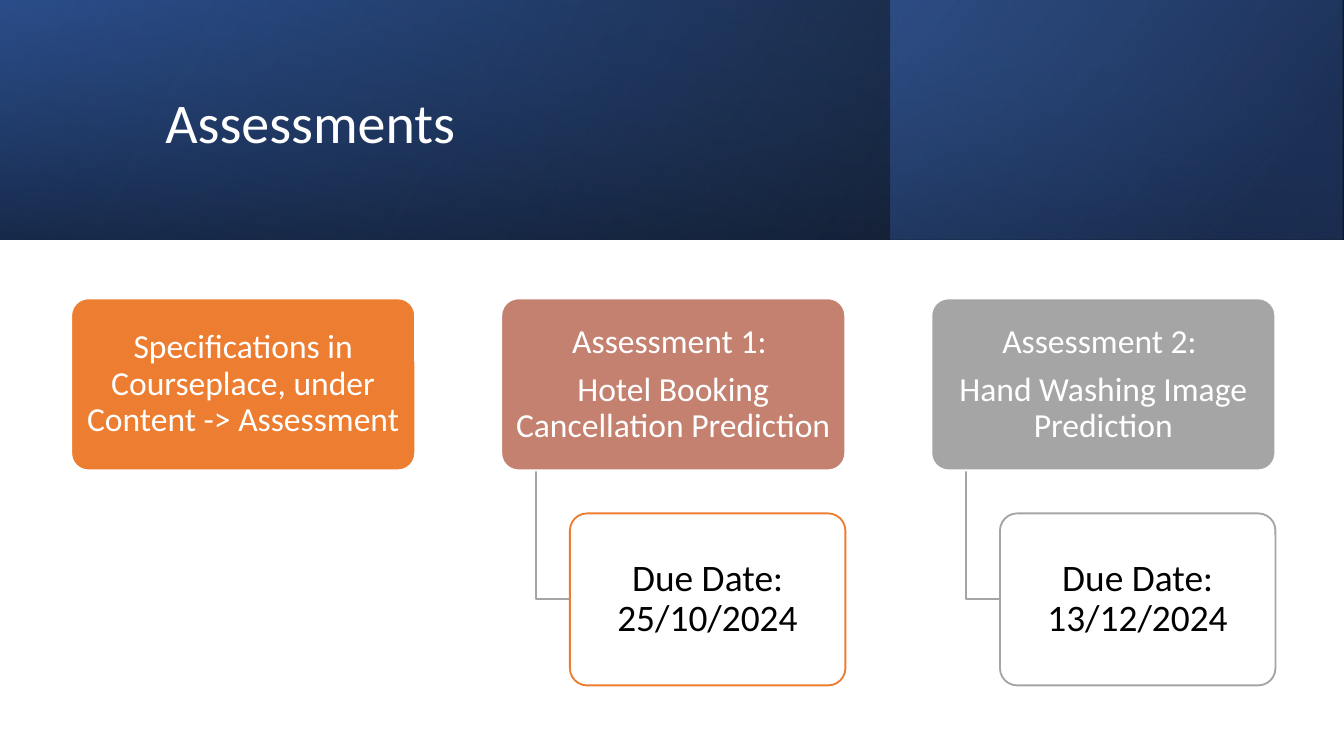
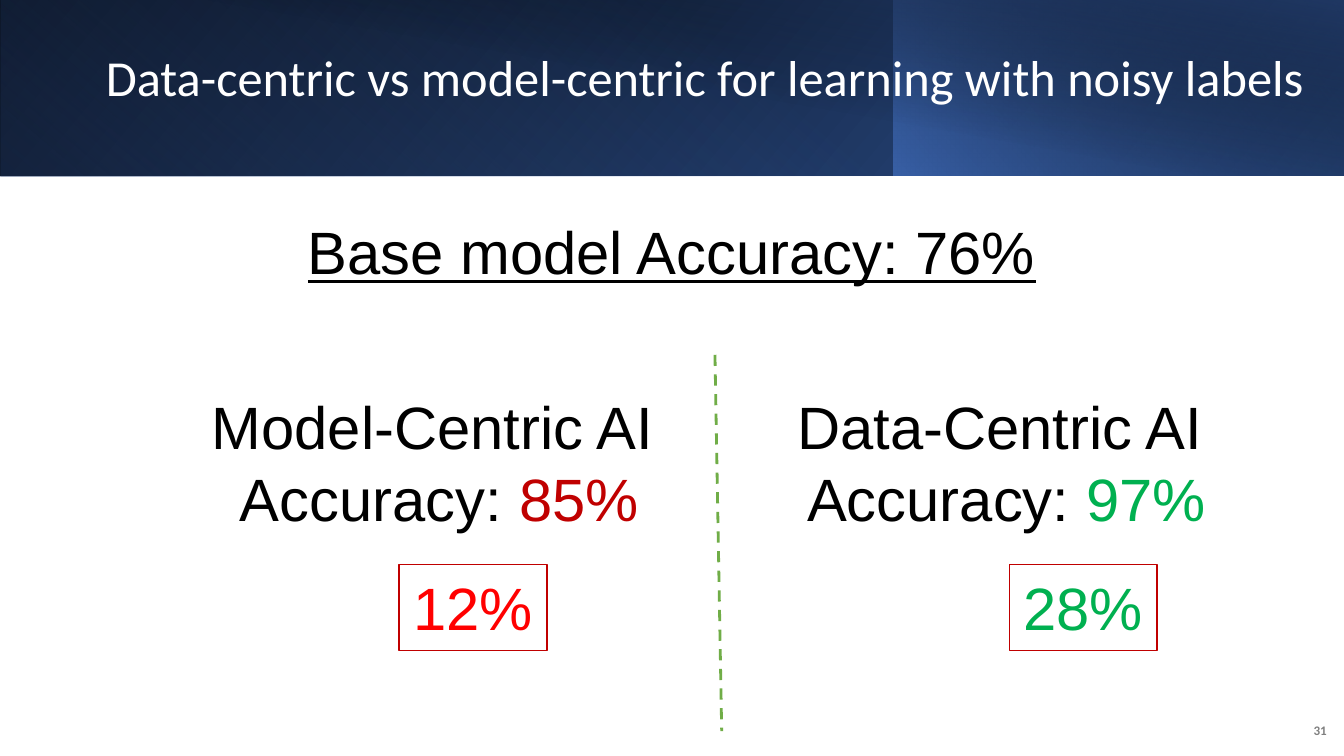
from lxml import etree
from pptx import Presentation
from pptx import util as u
from pptx.dml.color import RGBColor
from pptx.enum import dml, shapes, text
from pptx.oxml import parse_xml
from pptx.oxml.ns import nsdecls, qn

COLORS = {
    "white": "FFFFFF", "black": "000000", "navy": "203864", "blue": "2F5597",
    "sky": "4472C4", "orange": "ED7D31", "clay": "C48170", "gray": "A5A5A5",
    "page": "808080", "crimson": "C00000", "red": "FF0000",
    "green": "00B050", "leaf": "70AD47",
}
RGB = {name: RGBColor.from_string(value) for name, value in COLORS.items()}

TITLE_FRAME = {"vertical_anchor": text.MSO_ANCHOR.MIDDLE,
               "auto_size": text.MSO_AUTO_SIZE.NONE, "word_wrap": True}
CARD_FRAME = {"vertical_anchor": text.MSO_ANCHOR.MIDDLE, "word_wrap": True,
              "margin_left": u.Inches(0.04), "margin_right": u.Inches(0.04),
              "margin_top": u.Inches(0.03), "margin_bottom": u.Inches(0.03)}
RESULT_FRAME = {"vertical_anchor": text.MSO_ANCHOR.TOP, "word_wrap": False,
                "auto_size": text.MSO_AUTO_SIZE.SHAPE_TO_FIT_TEXT}
CENTER = {"alignment": text.PP_ALIGN.CENTER}
TITLE_LEFT = {"alignment": text.PP_ALIGN.LEFT, "line_spacing": 0.9}
TITLE_CENTER = {**CENTER, "line_spacing": 0.9}
CARD_LINES = {**CENTER, "line_spacing": 0.9, "space_after": u.Pt(6.3)}
PAGE_LINES = {"alignment": text.PP_ALIGN.RIGHT, "line_spacing": 0.9, "space_after": u.Pt(6)}
RESULT_FONT = {"name": "Arial", "size": u.Pt(32)}


def write(shape, lines, frame_format, line_format, font_format):
    frame = shape.text_frame
    for key, value in frame_format.items():
        setattr(frame, key, value)
    for index, line in enumerate(lines):
        paragraph = frame.add_paragraph() if index else frame.paragraphs[0]
        for key, value in line_format.items():
            setattr(paragraph, key, value)
        for words, color in line:
            run = paragraph.add_run()
            run.text = words
            for key, value in font_format.items():
                setattr(run.font, key, value)
            run.font.color.rgb = RGB[color]


def add_header(slide, bands, title, box, line_format, size):
    for place, rotation, flip, angle, stops in bands:
        band = slide.shapes.add_shape(shapes.MSO_SHAPE.RECTANGLE, *map(u.Inches, place))
        band.rotation = rotation
        properties = band.element.spPr
        if flip:
            properties.find(qn("a:xfrm")).set("flipH", "1")
        colors = "".join(
            f'<a:gs pos="{position * 1000}"><a:srgbClr val="{COLORS[color]}">'
            f'<a:alpha val="{alpha * 1000}"/></a:srgbClr></a:gs>'
            for position, color, alpha in stops)
        properties.insert(2, parse_xml(
            f'<a:gradFill {nsdecls("a")} rotWithShape="1"><a:gsLst>{colors}</a:gsLst>'
            f'<a:lin ang="{angle * 60000}" scaled="0"/></a:gradFill>'))
        band.line.fill.background()
        band.shadow.inherit = False
    heading = slide.shapes.title
    heading.left, heading.top, heading.width, heading.height = map(u.Inches, box)
    slide.shapes.element.append(heading.element)
    write(heading, [[(title, "white")]], TITLE_FRAME, line_format,
          {"name": "Calibri", "size": u.Pt(size)})


deck = Presentation()
deck.slide_width = u.Inches(10)
deck.slide_height = deck.slide_width * 9 // 16
title_only = deck.slide_layouts[5]

assessments = deck.slides.add_slide(title_only)
add_header(assessments, [
    ((0, 0, 10, 1.78), 0, True, 330, [(0, "black", 96), (100, "blue", 100)]),
    ((6.63, 0, 3.36, 1.78), 0, True, 320, [(19, "navy", 68), (100, "sky", 48)]),
    ((4.11, -4.11, 1.78, 10), 270, True, 350, [(23, "blue", 16), (99, "black", 45)]),
], "Assessments", (1.13, 0.29, 7.97, 1.29), TITLE_LEFT, 30)

topics = [
    (["Specifications in Courseplace, under Content -> Assessment"], "orange", None, None),
    (["Assessment 1: ", "Hotel Booking Cancellation Prediction"], "clay",
     "Due Date: 25/10/2024", "orange"),
    (["Assessment 2: ", "Hand Washing Image Prediction"], "gray",
     "Due Date: 13/12/2024", "gray"),
]
for column, (topic, color, due_date, outline) in enumerate(topics):
    left = 0.53 + 3.2 * column
    cards = [(left, 2.22, 2.56, color, "white", topic, "white", 18)]
    if due_date:
        branch = assessments.shapes.build_freeform(
            u.Inches(left + 0.26), u.Inches(3.5))
        branch.add_line_segments(
            [(u.Inches(left + 0.26), u.Inches(4.46)),
             (u.Inches(left + 0.51), u.Inches(4.46))], close=False)
        elbow = branch.convert_to_shape()
        elbow.fill.background()
        elbow.line.color.rgb = RGB["gray"]
        elbow.line.width = u.Pt(1)
        elbow.shadow.inherit = False
        cards.append((left + 0.51, 3.82, 2.05, "white", outline, [due_date], "black", 20))
    for x, y, width, fill, border, lines, ink, size in cards:
        card = assessments.shapes.add_shape(
            shapes.MSO_SHAPE.ROUNDED_RECTANGLE, *map(u.Inches, (x, y, width, 1.28)))
        card.adjustments[0] = 0.1
        card.fill.solid()
        card.fill.fore_color.rgb = RGB[fill]
        card.line.color.rgb = RGB[border]
        card.line.width = u.Pt(1)
        card.shadow.inherit = False
        write(card, [[(line, ink)] for line in lines], CARD_FRAME, CARD_LINES,
              {"name": "Calibri", "size": u.Pt(size)})

comparison = deck.slides.add_slide(title_only)
add_header(comparison, [
    ((0, 0, 10, 1.31), 0, True, 140, [(0, "black", 100), (100, "blue", 100)]),
    ((0, 0, 6.65, 1.31), 180, True, 230, [(20, "sky", 0), (100, "navy", 55)]),
    ((6.65, 0, 3.35, 1.31), 0, True, 220, [(0, "sky", 66), (100, "black", 30)]),
    ((0.38, 0, 9.62, 1.31), 0, False, 280, [(50, "black", 0), (99, "navy", 52)]),
], "Data-centric vs model-centric for learning with noisy labels",
    (0.52, 0.32, 9.45, 0.55), TITLE_CENTER, 27)

page_number = comparison.shapes.add_textbox(*map(u.Inches, (9.6, 5.29, 0.37, 0.3)))
write(page_number, [[("31", "page")]], TITLE_FRAME, PAGE_LINES,
      {"name": "Calibri", "size": u.Pt(7), "bold": True})

base_accuracy = comparison.shapes.add_textbox(*map(u.Inches, (2.16, 1.55, 5.68, 0.64)))
write(base_accuracy, [[("Base model Accuracy: 76%", "black")]], RESULT_FRAME, CENTER,
      {**RESULT_FONT, "underline": True})

approaches = [
    ("Model-Centric AI", "85%", "crimson", 1.45, 3.54, "12%", "red", 2.97),
    ("Data-Centric AI", "97%", "green", 5.78, 3.32, "28%", "green", 7.51),
]
for name, accuracy, color, left, width, gain, gain_color, gain_left in approaches:
    approach = comparison.shapes.add_textbox(*map(u.Inches, (left, 2.85, width, 1.18)))
    write(approach, [[(name, "black")], [(" Accuracy: ", "black"), (accuracy, color)]],
          RESULT_FRAME, CENTER, RESULT_FONT)
    improvement = comparison.shapes.add_shape(
        shapes.MSO_SHAPE.RECTANGLE, *map(u.Inches, (gain_left, 4.2, 1.1, 0.64)))
    improvement.fill.background()
    improvement.line.color.rgb = RGB["crimson"]
    improvement.line.width = u.Pt(0.75)
    improvement.shadow.inherit = False
    write(improvement, [[(gain, gain_color)]], RESULT_FRAME, CENTER, RESULT_FONT)

divider = comparison.shapes.add_connector(
    shapes.MSO_CONNECTOR.STRAIGHT, *map(u.Inches, (5.32, 2.64, 5.37, 5.44)))
divider.line.color.rgb = RGB["leaf"]
divider.line.width = u.Pt(1.5)
divider.line.dash_style = dml.MSO_LINE.DASH
etree.SubElement(divider.element.spPr, qn("a:effectLst"))

deck.save("out.pptx")
